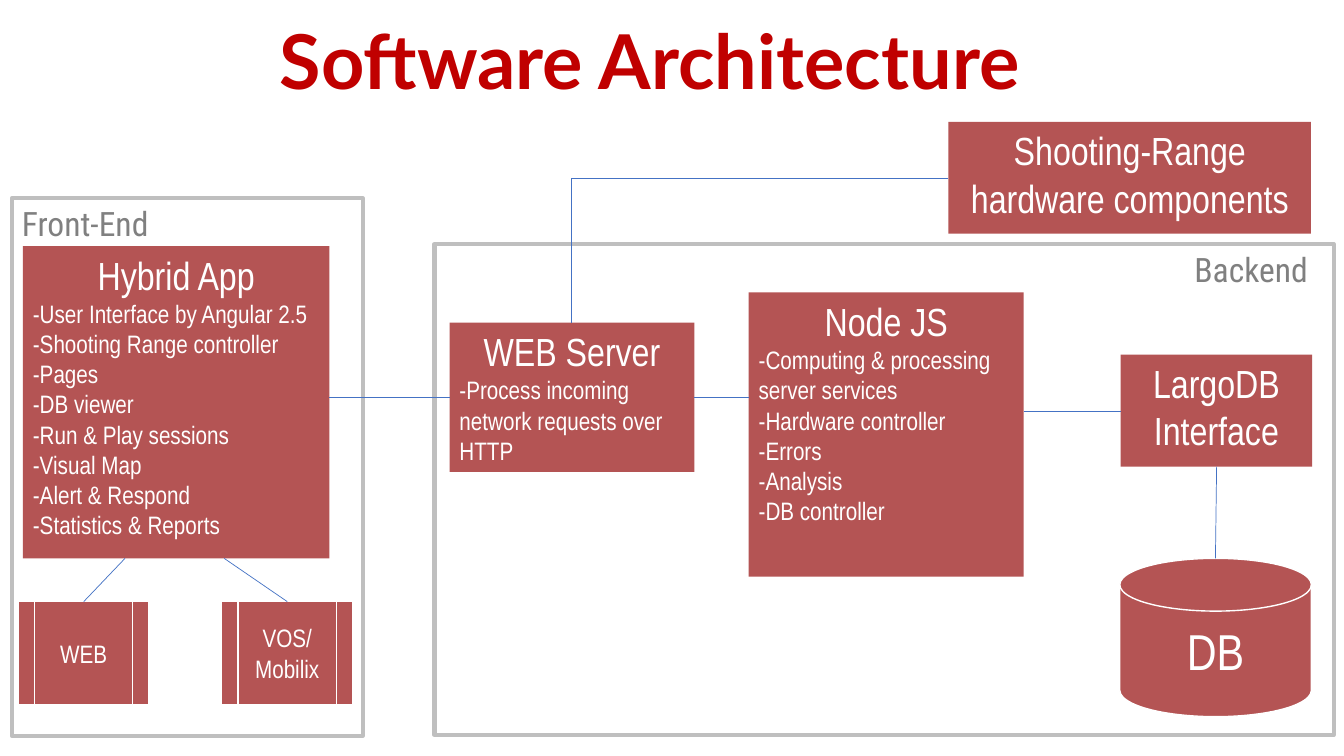
from pptx import Presentation
from pptx.util import Cm, Pt
from pptx.dml.color import RGBColor
from pptx.enum.shapes import MSO_SHAPE as SHAPE, MSO_CONNECTOR as CONN
from pptx.enum.text import PP_ALIGN as ALIGN, MSO_ANCHOR as ANCHOR
from pptx.oxml.ns import qn
from lxml import etree

RED = RGBColor(0xB4, 0x54, 0x54)
TITLE_RED = RGBColor(0xC0, 0x00, 0x00)
WHITE = RGBColor(0xFF, 0xFF, 0xFF)
FRAME_GRAY = RGBColor(0xBF, 0xBF, 0xBF)
LABEL_GRAY = RGBColor(0x80, 0x80, 0x80)
BLUE = RGBColor(0x44, 0x72, 0xC4)

prs = Presentation()
prs.slide_width, prs.slide_height = Cm(33.87), Cm(19.05)
s = prs.slides.add_slide(prs.slide_layouts[6])


def add_box(kind, box, fill=None, line=None, width=1):
    sp = s.shapes.add_shape(kind, *map(Cm, box))
    sp.shadow.inherit = False
    if fill is None:
        sp.fill.background()
    else:
        sp.fill.solid()
        sp.fill.fore_color.rgb = fill
    if line is None:
        sp.line.fill.background()
    else:
        sp.line.color.rgb = line
        sp.line.width = Pt(width)
    return sp


def style(p, font, size, color, align):
    p.alignment = align
    for r in p.runs:
        r.font.name = font
        r.font.size = Pt(size)
        r.font.color.rgb = color


frames = [
    ("Front-End", (0.3, 5, 8.84, 13.54), ALIGN.LEFT),
    ("Backend", (10.95, 6.15, 22.66, 12.37), ALIGN.RIGHT),
]
for label, box, align in frames:
    sp = add_box(SHAPE.RECTANGLE, box, line=FRAME_GRAY, width=3)
    tf = sp.text_frame
    tf.text = label
    tf.vertical_anchor = ANCHOR.TOP
    tf.margin_right = Cm(0.65)
    style(tf.paragraphs[0], "Roboto Condensed", 24, LABEL_GRAY, align)

title = s.shapes.add_textbox(Cm(0.6), Cm(0.5), Cm(31.55), Cm(2.24))
tf = title.text_frame
tf.word_wrap = True
tf.vertical_anchor = ANCHOR.BOTTOM
tf.text = "Software Architecture"
p = tf.paragraphs[0]
p.line_spacing = 0.8
style(p, "Lato", 54, TITLE_RED, ALIGN.CENTER)
p.runs[0].font.bold = True

components = [
    ((11.33, 8.13, 6.17, 3.76), ["WEB Server"],
     ["-Process incoming network requests over HTTP"]),
    ((18.87, 7.37, 6.93, 7.16), ["Node JS"],
     ["-Computing & processing", "server services", "-Hardware controller",
      "-Errors", "-Analysis", "-DB controller"]),
    ((28.24, 8.94, 4.83, 2.82), ["LargoDB", "Interface"], []),
    ((23.9, 3.07, 9.14, 2.82), ["Shooting-Range hardware components"], []),
    ((0.58, 6.2, 7.72, 7.87), ["Hybrid App"],
     ["-User Interface by Angular 2.5", "-Shooting Range controller", "-Pages",
      "-DB viewer", "-Run & Play sessions", "-Visual Map", "-Alert & Respond",
      "-Statistics & Reports"]),
]
for box, heading, details in components:
    tf = add_box(SHAPE.RECTANGLE, box, fill=RED).text_frame
    tf.text = "\n".join(heading + details)
    tf.vertical_anchor = ANCHOR.TOP
    for i, p in enumerate(tf.paragraphs):
        if i < len(heading):
            style(p, "Arial Narrow", 28, WHITE, ALIGN.CENTER)
        else:
            style(p, "Arial Narrow", 18, WHITE, ALIGN.LEFT)

nodes = [
    (SHAPE.FLOWCHART_MAGNETIC_DISK, (28.22, 14.07, 4.83, 3.99), "DB", 36),
    (SHAPE.FLOWCHART_PREDEFINED_PROCESS, (0.46, 15.16, 3.3, 2.59), "WEB", 18),
    (SHAPE.FLOWCHART_PREDEFINED_PROCESS, (5.59, 15.16, 3.3, 2.59), "VOS/\nMobilix", 18),
]
for kind, box, label, size in nodes:
    tf = add_box(kind, box, fill=RED, line=WHITE).text_frame
    tf.text = label
    tf.vertical_anchor = ANCHOR.MIDDLE
    for p in tf.paragraphs:
        style(p, "Arial Narrow", size, WHITE, ALIGN.CENTER)

links = [
    (14.4, 4.5, 23.9, 4.5),
    (14.4, 4.5, 14.4, 8.13),
    (8.3, 10.01, 11.33, 10.01),
    (17.5, 10.01, 18.87, 10.01),
    (25.8, 10.36, 28.24, 10.36),
    (30.66, 11.76, 30.63, 14.07),
    (3.15, 14.07, 2.11, 15.16),
    (5.65, 14.07, 7.24, 15.16),
]
for ends in links:
    link = s.shapes.add_connector(CONN.STRAIGHT, *map(Cm, ends))
    link.line.color.rgb = BLUE
    link.line.width = Pt(0.5)
    etree.SubElement(link._element.spPr, qn("a:effectLst"))

prs.save("out.pptx")
